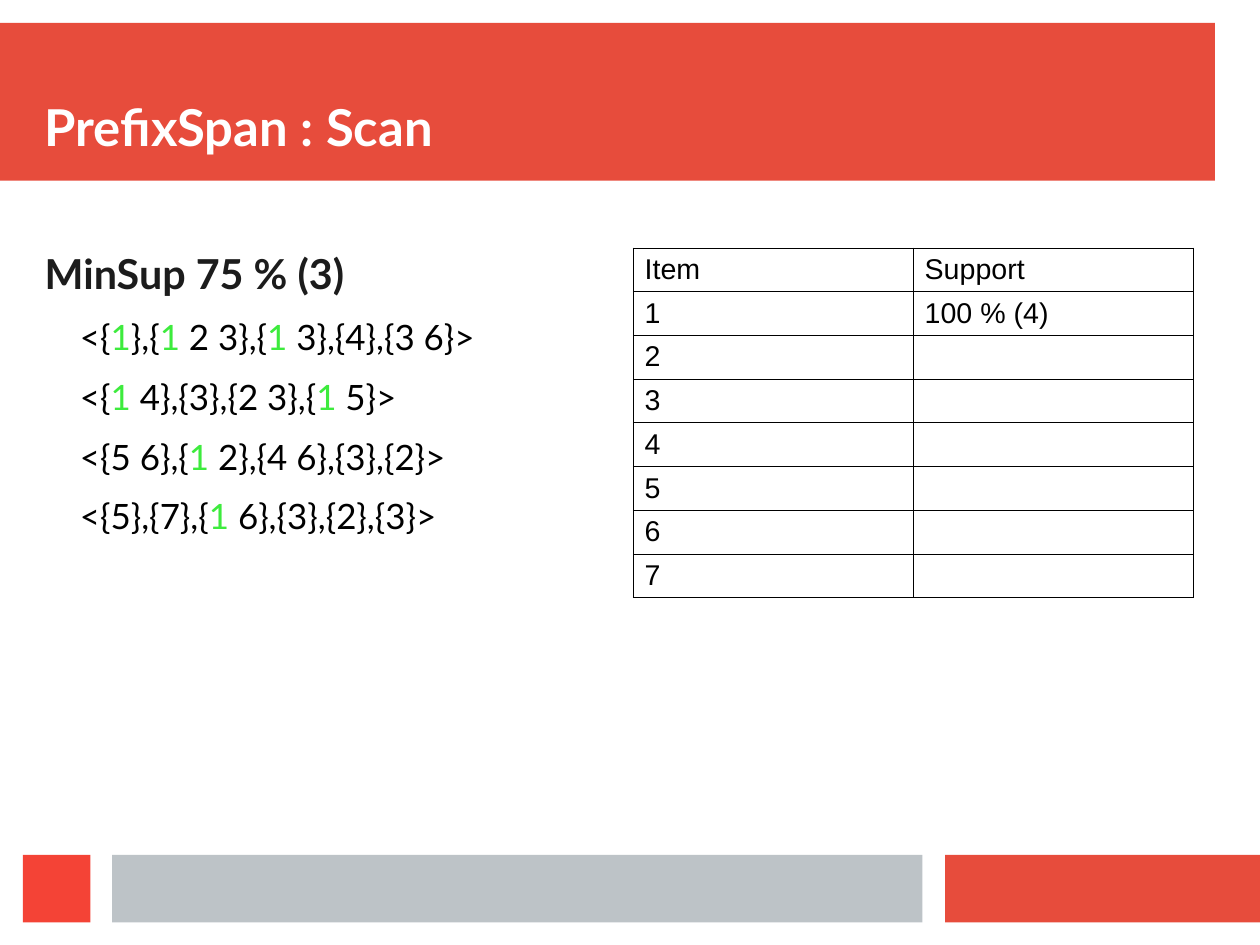
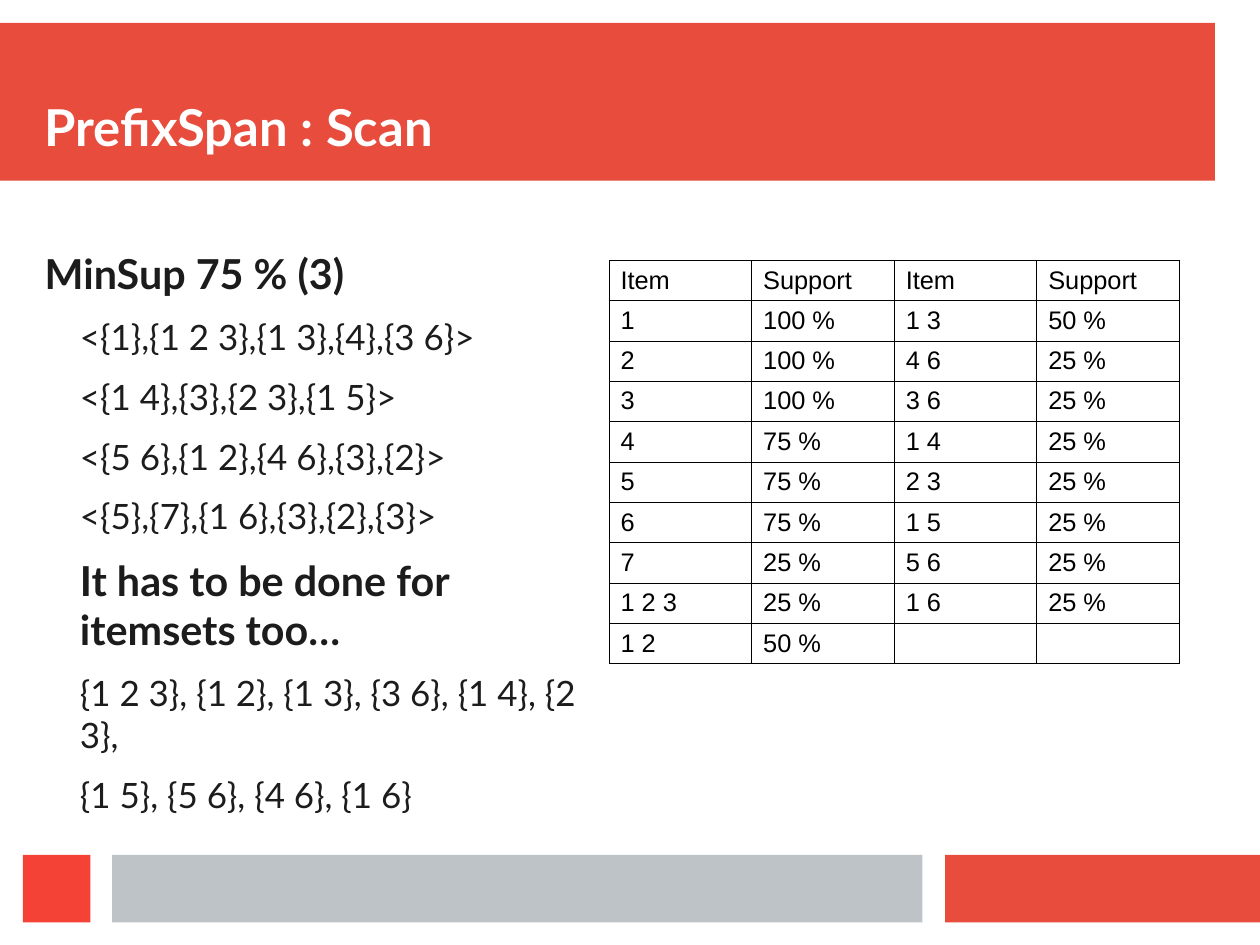
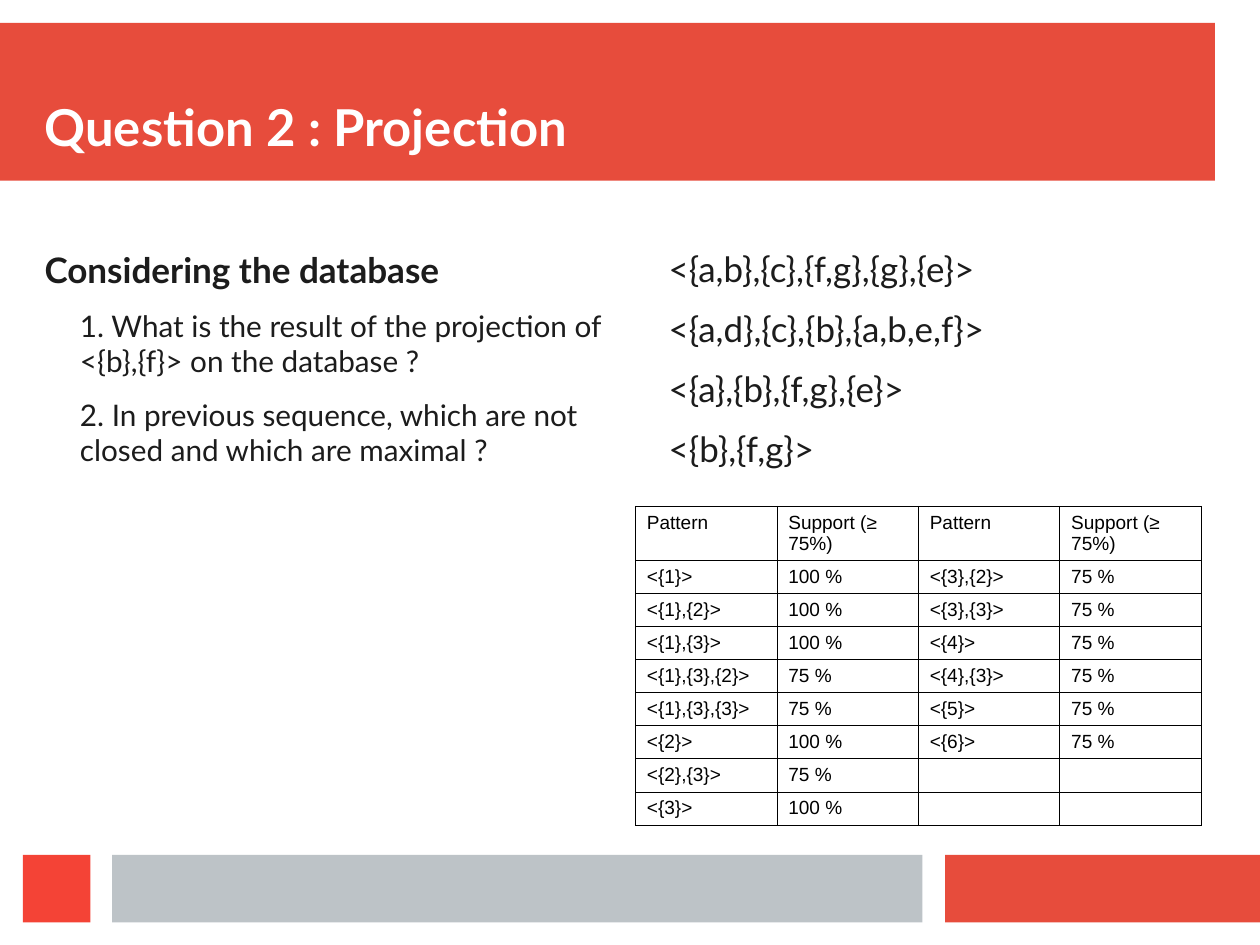
from lxml import etree
from pptx import Presentation
from pptx.dml.color import RGBColor
from pptx.enum.shapes import MSO_SHAPE
from pptx.enum.text import MSO_ANCHOR
from pptx.oxml.ns import qn
from pptx.util import Cm, Inches, Pt

RED, BRIGHT_RED, GREY = "E74C3C", "F44336", "BDC3C7"
WHITE, BLACK, INK, GREEN = "FFFFFF", "000000", "1C1C1C", "3DEB3D"
HEADING_FONT, TABLE_FONT = "Lato", "Arial"
BORDER_WIDTH = Pt(0.57)

BANDS = [  # left, top, width, height, colour
    (0, 0.2, 10.63, 1.38, RED),
    (8.27, 7.48, 2.76, 0.59, RED),
    (0.98, 7.48, 7.09, 0.59, GREY),
    (0.2, 7.48, 0.59, 0.59, BRIGHT_RED),
]

# Line styles: indent in inches, bold
LINE_STYLES = {"heading": (0, True), "subheading": (0.31, True), "item": (0.31, False)}

sequences = [
    ("item", "<{1},{1 2 3},{1 3},{4},{3 6}>"),
    ("item", "<{1 4},{3},{2 3},{1 5}>"),
    ("item", "<{5 6},{1 2},{4 6},{3},{2}>"),
    ("item", "<{5},{7},{1 6},{3},{2},{3}>"),
]
min_support = ("heading", "MinSup 75 % (3)")

# Each column: left, height, heading size, item size, space after, item colour, highlighted item
# Each table: left, top, width, height, header height, text size
slides = [
    {
        "title": "PrefixSpan : Scan",
        "columns": [((0.39, 5.12, 26, 22, 11.3, BLACK, "1"), [min_support, *sequences])],
        "table": (5.54, 2.17, 4.9, 3.06, 0.38, 18),
        "rows": [("Item", "Support"), ("1", "100 % (4)")] + [(item, "") for item in "234567"],
    },
    {
        "title": "PrefixSpan : Scan",
        "columns": [
            ((0.39, 5.12, 26, 22, 11.3, INK, None), [
                min_support,
                *sequences,
                ("subheading", "It has to be done for itemsets too…"),
                ("item", "{1 2 3}, {1 2}, {1 3}, {3 6}, {1 4}, {2 3},"),
                ("item", "{1 5}, {5 6}, {4 6}, {1 6}"),
            ]),
        ],
        "table": (5.33, 2.28, 4.99, 3.53, 0.35, 16),
        "rows": [
            ("Item", "Support", "Item", "Support"),
            ("1", "100 %", "1 3", "50 %"),
            ("2", "100 %", "4 6", "25 %"),
            ("3", "100 %", "3 6", "25 %"),
            ("4", "75 %", "1 4", "25 %"),
            ("5", "75 %", "2 3", "25 %"),
            ("6", "75 %", "1 5", "25 %"),
            ("7", "25 %", "5 6", "25 %"),
            ("1 2 3", "25 %", "1 6", "25 %"),
            ("1 2", "50 %", "", ""),
        ],
    },
    {
        "title": "Question 2 : Projection",
        "columns": [
            ((0.39, 2.48, 22.1, 18.7, 11, INK, None), [
                ("heading", "Considering the database"),
                ("item", "1. What is the result of the projection of <{b},{f}> on the database ?"),
                ("item", "2. In previous sequence, which are not closed and which are maximal ?"),
            ]),
            ((5.54, 5.12, 26, 22, 11.3, INK, None), [
                ("item", "<{a,b},{c},{f,g},{g},{e}>"),
                ("item", "<{a,d},{c},{b},{a,b,e,f}>"),
                ("item", "<{a},{b},{f,g},{e}>"),
                ("item", "<{b},{f,g}>"),
            ]),
        ],
        "table": (5.56, 4.43, 4.95, 2.79, 0.47, 12),
        "rows": [
            ("Pattern", "Support (≥ 75%)", "Pattern", "Support (≥ 75%)"),
            ("<{1}>", "100 %", "<{3},{2}>", "75 %"),
            ("<{1},{2}>", "100 %", "<{3},{3}>", "75 %"),
            ("<{1},{3}>", "100 %", "<{4}>", "75 %"),
            ("<{1},{3},{2}>", "75 %", "<{4},{3}>", "75 %"),
            ("<{1},{3},{3}>", "75 %", "<{5}>", "75 %"),
            ("<{2}>", "100 %", "<{6}>", "75 %"),
            ("<{2},{3}>", "75 %", "", ""),
            ("<{3}>", "100 %", "", ""),
        ],
    },
]


def set_font(font, name, size, color, bold=False):
    font.name, font.size, font.bold = name, Pt(size), bold
    font.color.rgb = RGBColor.from_string(color)


def add_text_frame(slide, left, top, width, height):
    """Add a wrapping text box without insets and return its frame."""
    frame = slide.shapes.add_textbox(*map(Inches, (left, top, width, height))).text_frame
    frame.word_wrap = True
    frame.margin_left = frame.margin_top = frame.margin_right = frame.margin_bottom = 0
    return frame


prs = Presentation()
prs.slide_width, prs.slide_height = Cm(28), Cm(21)

for content in slides:
    slide = prs.slides.add_slide(prs.slide_layouts[6])

    for *box, color in BANDS:
        band = slide.shapes.add_shape(MSO_SHAPE.RECTANGLE, *map(Inches, box))
        band.shadow.inherit = False
        band.fill.solid()
        band.fill.fore_color.rgb = RGBColor.from_string(color)
        band.line.fill.background()

    title = add_text_frame(slide, 0.39, 0.39, 10.24, 0.98)
    title.vertical_anchor = MSO_ANCHOR.BOTTOM
    title.text = content["title"]
    set_font(title.paragraphs[0].font, HEADING_FONT, 32, WHITE, bold=True)

    for (left, height, heading_size, item_size, gap, item_color, highlight), lines in content["columns"]:
        column = add_text_frame(slide, left, 2.17, 4.9, height)
        for number, (style, text) in enumerate(lines):
            line = column.add_paragraph() if number else column.paragraphs[0]
            indent, bold = LINE_STYLES[style]
            line._p.get_or_add_pPr().set("marL", str(Inches(indent)))
            line.space_after = Pt(gap)
            size, color = (heading_size, INK) if bold else (item_size, item_color)
            set_font(line.font, HEADING_FONT, size, color, bold)
            parts = text.split(highlight) if highlight and style == "item" else [text]
            for position, part in enumerate(parts):
                if position:
                    match = line.add_run()
                    match.text = highlight
                    match.font.color.rgb = RGBColor.from_string(GREEN)
                line.add_run().text = part

    left, top, width, height, header_height, size = content["table"]
    rows = content["rows"]
    row_height = (height - header_height) / (len(rows) - 1)
    table = slide.shapes.add_table(
        len(rows), len(rows[0]), *map(Inches, (left, top, width, height))
    ).table
    table.first_row = table.horz_banding = False
    for number, (row, values) in enumerate(zip(table.rows, rows)):
        row.height = Inches(row_height if number else header_height)
        for cell, value in zip(row.cells, values):
            cell.margin_left = cell.margin_right = Inches(0.1)
            cell.margin_top, cell.margin_bottom = Inches(0.05), Inches(0.02)
            cell.text = value
            entry = cell.text_frame.paragraphs[0]
            set_font(entry.font, TABLE_FONT, size, BLACK)
            if not value:
                etree.SubElement(entry._p, qn("a:endParaRPr")).set("sz", str(size * 100))
            properties = cell._tc.get_or_add_tcPr()
            for side in ("a:lnL", "a:lnR", "a:lnT", "a:lnB"):
                border = etree.SubElement(properties, qn(side), w=str(BORDER_WIDTH))
                border_fill = etree.SubElement(border, qn("a:solidFill"))
                etree.SubElement(border_fill, qn("a:srgbClr"), val=BLACK)
            cell.fill.background()

prs.save("out.pptx")
